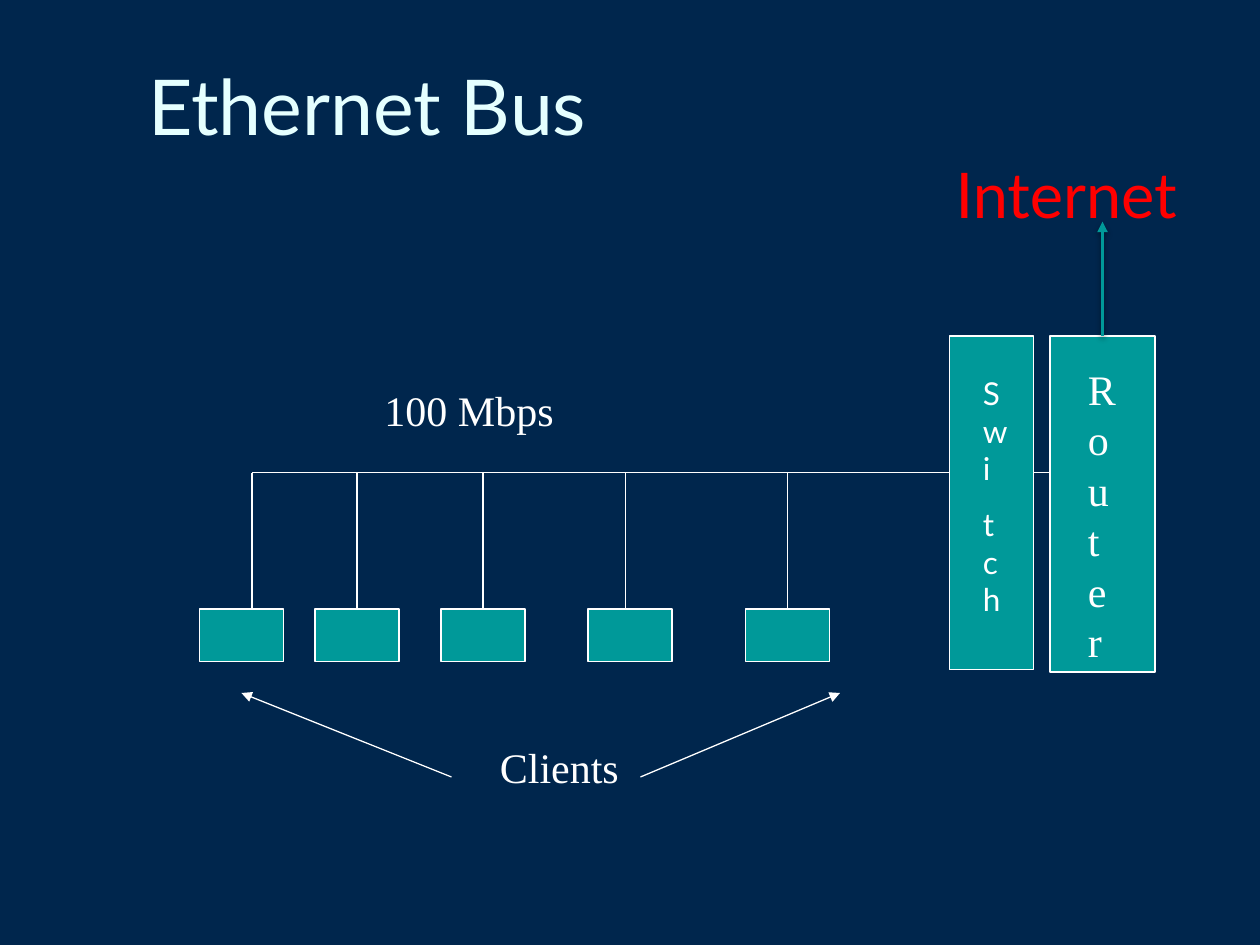
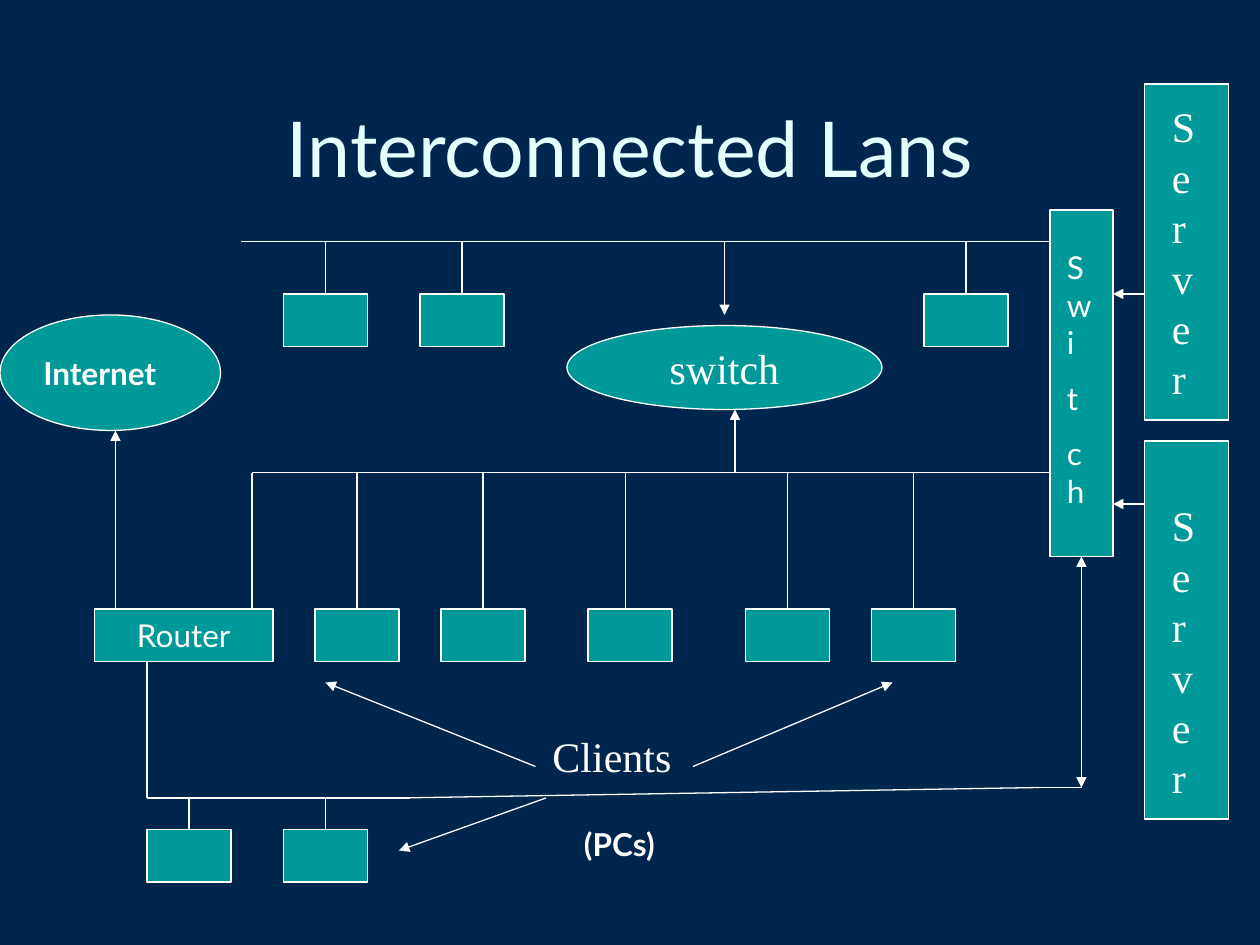
from dataclasses import dataclass
from typing import Iterable, NamedTuple

import lxml.etree
import pptx
import pptx.dml.color
import pptx.enum.shapes
import pptx.enum.text
import pptx.oxml.ns
import pptx.presentation
import pptx.shapes.autoshape
import pptx.shapes.connector
import pptx.slide
import pptx.text.text
import pptx.util

COLORS = {
    "background": "00264D",
    "title": "E5FFFF",
    "device": "009999",
    "line": "FFFFFF",
    "text": "FFFFFF",
    "alert": "FF0000",
    "shadow": "000000",
}
SANS, SERIF = "Lato", "Times New Roman"
GRID_CM = 2.54 / 12  # all places below are counted in steps of this grid
INSET = pptx.util.Cm(0.13)
CLIENT_WIDTH, CLIENT_HEIGHT = 8, 5
TOP, BOTTOM = 0, 2

SHAPES = pptx.enum.shapes.MSO_SHAPE
ALIGN = pptx.enum.text.PP_ALIGN
ANCHOR = pptx.enum.text.MSO_ANCHOR
AUTO_SIZE = pptx.enum.text.MSO_AUTO_SIZE


class Box(NamedTuple):
    left: float
    top: float
    width: float
    height: float


class Point(NamedTuple):
    x: float
    y: float


@dataclass(frozen=True)
class Label:
    text: str
    box: Box
    font: str = SERIF
    size: int = 24
    space_before: int = 14
    color: str = "text"
    bold: bool = False
    centred: bool = False


@dataclass(frozen=True)
class Wire:
    start: Point
    end: Point
    arrow: bool = False
    color: str = "line"
    width: float = 0.75


class Client(NamedTuple):
    left: float
    drop: float  # x of the wire to the bus


def grid(steps: float) -> pptx.util.Length:
    return pptx.util.Cm(steps * GRID_CM)


def rgb(name: str) -> pptx.dml.color.RGBColor:
    return pptx.dml.color.RGBColor.from_string(COLORS[name])


def add_child(parent: lxml.etree._Element, tag: str, **attributes: str) -> lxml.etree._Element:
    child = lxml.etree.SubElement(parent, pptx.oxml.ns.qn(tag))
    for key, value in attributes.items():
        child.set(key, value)
    return child


def format_text(frame: pptx.text.text.TextFrame, label: Label) -> None:
    frame.margin_left = frame.margin_right = INSET
    frame.margin_top = frame.margin_bottom = INSET
    frame.text = label.text
    for paragraph in frame.paragraphs:
        paragraph.alignment = ALIGN.CENTER if label.centred else ALIGN.LEFT
        paragraph.space_before = pptx.util.Pt(label.space_before)
        for run in paragraph.runs:
            run.font.name = label.font
            run.font.size = pptx.util.Pt(label.size)
            run.font.bold = label.bold
            run.font.color.rgb = rgb(label.color)


def add_title_slide(deck: pptx.presentation.Presentation, title: Label) -> pptx.slide.Slide:
    slide = deck.slides.add_slide(deck.slide_layouts.get_by_name("Title Only"))
    heading = slide.shapes.title
    heading.left, heading.top, heading.width, heading.height = map(grid, title.box)
    format_text(heading.text_frame, title)
    heading.text_frame.vertical_anchor = ANCHOR.MIDDLE
    heading.text_frame.auto_size = AUTO_SIZE.NONE
    return slide


def add_label(slide: pptx.slide.Slide, label: Label) -> None:
    frame = slide.shapes.add_textbox(*map(grid, label.box)).text_frame
    format_text(frame, label)
    frame.word_wrap = not label.centred
    frame.auto_size = AUTO_SIZE.SHAPE_TO_FIT_TEXT
    frame.vertical_anchor = ANCHOR.MIDDLE if label.centred else ANCHOR.TOP


def add_device(
    slide: pptx.slide.Slide, box: Box, outline: SHAPES = SHAPES.RECTANGLE
) -> pptx.shapes.autoshape.Shape:
    device = slide.shapes.add_shape(outline, *map(grid, box))
    device.shadow.inherit = False
    device.fill.solid()
    device.fill.fore_color.rgb = rgb("device")
    device.line.color.rgb = rgb("line")
    device.line.width = pptx.util.Pt(0.75)
    return device


def add_wire(slide: pptx.slide.Slide, wire: Wire) -> pptx.shapes.connector.Connector:
    connector = slide.shapes.add_connector(
        pptx.enum.shapes.MSO_CONNECTOR.STRAIGHT, *map(grid, (*wire.start, *wire.end))
    )
    connector.line.color.rgb = rgb(wire.color)
    connector.line.width = pptx.util.Pt(wire.width)
    if wire.arrow:
        add_child(connector.line._get_or_add_ln(), "a:tailEnd", type="triangle")
    add_child(connector._element.spPr, "a:effectLst")
    return connector


def add_wires(slide: pptx.slide.Slide, wires: Iterable[Wire]) -> None:
    for wire in wires:
        add_wire(slide, wire)


def add_soft_shadow(connector: pptx.shapes.connector.Connector) -> None:
    effects = connector._element.spPr.find(pptx.oxml.ns.qn("a:effectLst"))
    shadow = add_child(
        effects, "a:outerShdw", blurRad="38100", dist="20000", dir="5400000", rotWithShape="0"
    )
    tint = add_child(shadow, "a:srgbClr", val=COLORS["shadow"])
    add_child(tint, "a:alpha", val="38000")


def add_clients(
    slide: pptx.slide.Slide, clients: Iterable[Client], bus_y: float, top: float
) -> None:
    """Draw a row of clients, each hanging from the bus above it."""
    for client in clients:
        computer = add_device(slide, Box(client.left, top, CLIENT_WIDTH, CLIENT_HEIGHT))
        drop = add_wire(slide, Wire(Point(client.drop, bus_y), Point(client.drop, top)))
        if client.drop == client.left + CLIENT_WIDTH / 2:
            drop.end_connect(computer, TOP)


BUS_Y, CLIENT_TOP = 45, 58
MAIN_BUS = Wire(Point(24, BUS_Y), Point(100, BUS_Y))
SHARED_CLIENTS = (Client(30, 34), Client(42, 46), Client(56, 59.6), Client(71, 75))


def build_ethernet_bus(deck: pptx.presentation.Presentation) -> None:
    slide = add_title_slide(
        deck, Label("Ethernet Bus", Box(6, 5, 58, 10), SANS, 44, 0, "title", centred=True)
    )
    add_wire(slide, MAIN_BUS)
    add_clients(slide, (Client(19, 24), *SHARED_CLIENTS), BUS_Y, CLIENT_TOP)
    router = add_device(slide, Box(100, 32, 10, 32))
    add_device(slide, Box(90.4, 32, 8, 31.8))
    add_wires(slide, (
        Wire(Point(43, 74), Point(23, 66), arrow=True),
        Wire(Point(61, 74), Point(80, 66), arrow=True),
    ))
    uplink = add_wire(
        slide, Wire(Point(105, 32), Point(105, 21.1), arrow=True, color="device", width=2)
    )
    uplink.begin_connect(router, TOP)
    add_soft_shadow(uplink)
    for label in (
        Label("100 Mbps", Box(36, 36, 45, 5.5)),
        Label("Router", Box(103, 34, 4, 30.2)),
        Label("Clients", Box(47, 70, 16, 5.5)),
        Label("Swi\ntch", Box(93, 35, 3, 24.7), SANS, 18, 10),
        Label("Internet", Box(90.4, 14.2, 23.6, 8.5), SANS, 36, 0, "alert"),
    ):
        add_label(slide, label)


def build_interconnected_lans(deck: pptx.presentation.Presentation) -> None:
    slide = add_title_slide(
        deck, Label("Interconnected Lans", Box(6, 5, 108, 18), SANS, 44, 0, "title", centred=True)
    )
    upper_bus_y, lower_bus_y, backbone_y = 23, 76, 75
    router = Box(9, CLIENT_TOP, 17, 5)
    add_wires(slide, (
        MAIN_BUS,
        Wire(Point(24, BUS_Y), Point(24, CLIENT_TOP)),
        Wire(Point(23, upper_bus_y), Point(100, upper_bus_y)),
        Wire(Point(14, 63), Point(14, lower_bus_y)),
        Wire(Point(14, lower_bus_y), Point(39, lower_bus_y)),
        Wire(Point(38, lower_bus_y), Point(99, backbone_y)),
        Wire(Point(98, backbone_y), Point(103, backbone_y)),
    ))
    add_clients(slide, (Client(27, 31), Client(40, 44), Client(88, 92)), upper_bus_y, 28)
    add_clients(slide, (*SHARED_CLIENTS, Client(83, 87)), BUS_Y, CLIENT_TOP)
    add_clients(slide, (Client(14, 18), Client(27, 31)), lower_bus_y, 79)

    for device in (Box(109, 8, 8, 32), Box(109, 42, 8, 36), router):
        add_device(slide, device)
    for hub in (Box(54, 31, 30, 8), Box(0, 30, 21, 11)):
        add_device(slide, hub, SHAPES.OVAL)
    main_switch = add_device(slide, Box(100, 20, 6, 33))

    for start, end in (
        (Point(51, 73), Point(31, 65)),
        (Point(66, 73), Point(85, 65)),
        (Point(52, 76), Point(38, 81)),
        (Point(69, upper_bus_y), Point(69, 30)),
        (Point(70, BUS_Y), Point(70, 39)),
        (Point(109, 28), Point(106, 28)),
        (Point(109, 48), Point(106, 48)),
        (Point(11, CLIENT_TOP), Point(11, 41)),
        (Point(103, 70), Point(103, backbone_y)),
    ):
        add_wire(slide, Wire(start, end, arrow=True))
    riser = add_wire(slide, Wire(Point(103, backbone_y), Point(103, 53), arrow=True))
    riser.end_connect(main_switch, BOTTOM)

    for label in (
        Label("Clients", Box(52, 69, 16, 5.5)),
        Label("(PCs)", Box(55, 78, 13, 4.9), SANS, 18, 10, bold=True),
        Label("switch", Box(62, 32.3, 14, 5.5), space_before=0, centred=True),
        Label("Router", router, SANS, 18, 0, centred=True),
        Label("Internet", Box(1.5, 33.1, 16, 4.9), SANS, 18, 0, bold=True, centred=True),
        Label("Swi\nt\nch", Box(101, 23, 4, 26.4), SANS, 18, 10),
        Label("Server", Box(111, 9, 4, 28.1)),
        Label("Server", Box(111, 47, 4, 28.1)),
    ):
        add_label(slide, label)


def main() -> None:
    deck = pptx.Presentation()
    deck.slide_width, deck.slide_height = pptx.util.Cm(25.4), pptx.util.Cm(19.05)
    backdrop = deck.slide_master.background.fill
    backdrop.solid()
    backdrop.fore_color.rgb = rgb("background")
    build_ethernet_bus(deck)
    build_interconnected_lans(deck)
    deck.save("out.pptx")


if __name__ == "__main__":
    main()
